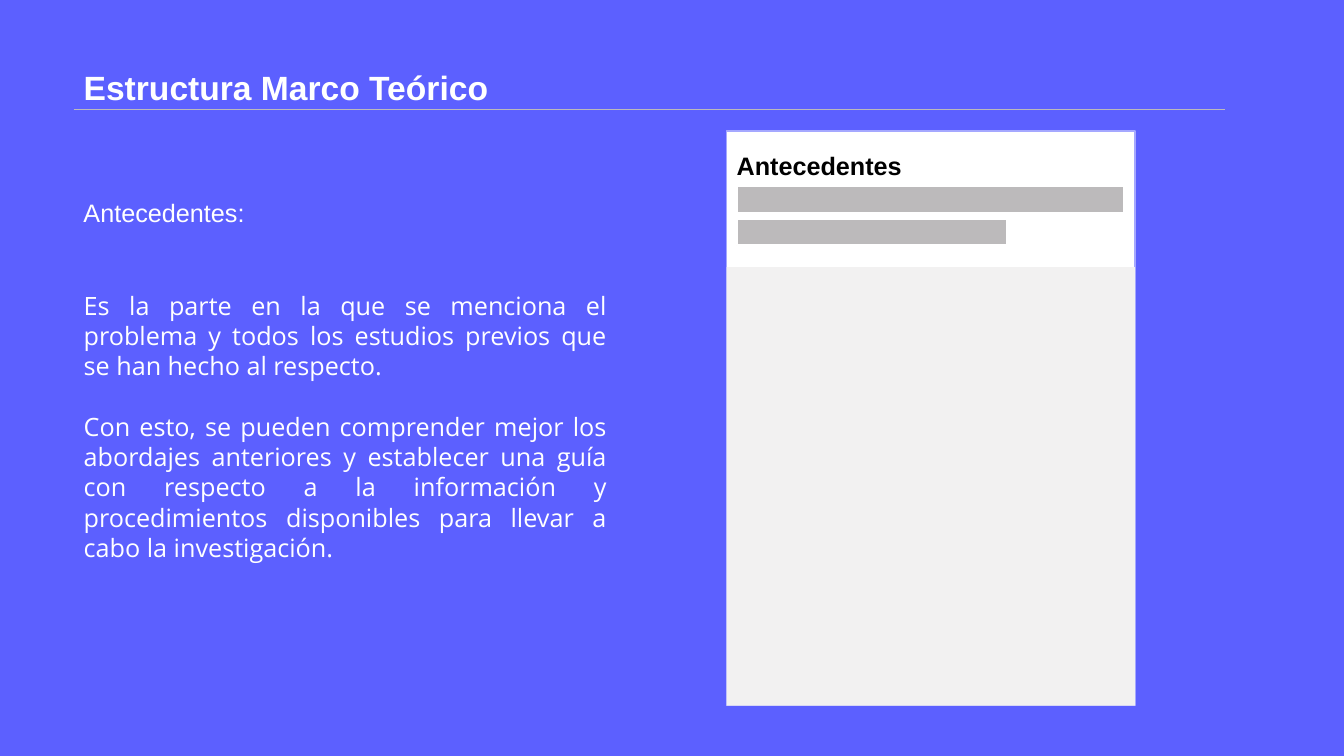
from pptx import Presentation
from pptx import util as u
from pptx.dml import color
from pptx.enum import shapes, text
from pptx.oxml import xmlchemy
from lxml import etree

BLUE, WHITE, BLACK = "5C60FF", "FFFFFF", "000000"
GRAY, PALE, LILAC = "BCBABB", "F2F1F1", "A5A8FF"
LEFT = 52.56


def paint(target, value):
    """Fill a shape or background with a solid hex colour."""
    target.fill.solid()
    target.fill.fore_color.rgb = color.RGBColor.from_string(value)


def place(item, box):
    """Move an item to a box of left, top, width and height in points."""
    for name, value in zip(("left", "top", "width", "height"), box):
        setattr(item, name, u.Pt(value))


def apply(target, formats):
    """Set every attribute of a format dict on the target."""
    for name, value in formats.items():
        setattr(target, name, value)


def write(item, paragraphs, font, hue, frame_format, para_format, gap=0):
    """Write paragraphs into an item, with a gap between them."""
    frame = item.text_frame
    apply(frame, frame_format)
    for index, words in enumerate(paragraphs):
        para = frame.add_paragraph() if index else frame.paragraphs[0]
        apply(para, {"space_before": u.Pt(gap if index else 0), **para_format})
        span = para.add_run()
        span.text = words
        apply(span.font, font)
        span.font.color.rgb = color.RGBColor.from_string(hue)


def add_block(page, box, fill, line=None, weight=1):
    """Add a flat rectangle, outlined when a line colour is given."""
    block = page.shapes.add_shape(shapes.MSO_SHAPE.RECTANGLE, *map(u.Pt, box))
    block.shadow.inherit = False
    paint(block, fill)
    if line:
        paint(block.line, line)
        block.line.width = u.Pt(weight)
    else:
        block.line.fill.background()


def add_label(page, box, words, hue, bold):
    """Add a one-line label in Arial."""
    label = page.shapes.add_textbox(*map(u.Pt, box))
    write(label, [words], {"name": "Arial", "size": u.Pt(18), "bold": bold}, hue,
          {"word_wrap": False}, {"alignment": text.PP_ALIGN.LEFT})


def add_heading(page, box, words):
    """Place the title at the foot of its box, with a rule beneath."""
    left, top, width, height = box
    title = page.shapes.title
    place(title, box)
    write(title, [words], {"name": "Arial", "size": u.Pt(24), "bold": True}, WHITE,
          {"word_wrap": True, "auto_size": text.MSO_AUTO_SIZE.NONE,
           "vertical_anchor": text.MSO_ANCHOR.BOTTOM},
          {"alignment": text.PP_ALIGN.LEFT, "line_spacing": 0.9})
    level = top + height - 2.16
    rule = page.shapes.add_connector(
        shapes.MSO_CONNECTOR.STRAIGHT, *map(u.Pt, (left, level, left + 822.24, level)))
    paint(rule.line, GRAY)
    rule.line.width = u.Pt(0.5)
    etree.SubElement(rule.element.spPr, xmlchemy.qn("a:effectLst"))


def add_explanation(page, box, label, paragraphs):
    """Place the label and the justified body text below it."""
    left, top, width, height = box
    add_label(page, (left, top, 130.32, 28.8), label, WHITE, False)
    body = page.placeholders[1]
    place(body, (left, top + 66.24, width, height - 66.24))
    write(body, paragraphs, {"name": "Open Sans", "size": u.Pt(18)}, WHITE,
          {"word_wrap": True, "auto_size": text.MSO_AUTO_SIZE.NONE},
          {"alignment": text.PP_ALIGN.JUSTIFY}, gap=21.6)
    for para in body.text_frame.paragraphs:
        properties = para._p.get_or_add_pPr()
        properties.set("marL", "0")
        properties.set("indent", "0")
        etree.SubElement(properties, xmlchemy.qn("a:buNone"))


def add_document(page, box, label):
    """Draw a page mock-up with a visible heading and a covered remainder."""
    left, top, width, height = box
    add_block(page, box, WHITE, LILAC)
    add_label(page, (left, top + 10.08, 133.92, 28.8), label, BLACK, True)
    for row, length in enumerate((276.48, 192.96)):
        bar = (left + 7.2, top + 39.6 + row * 23.4, length, 18.72)
        add_block(page, bar, GRAY, WHITE, 1.5)
    add_block(page, (left, top + 97.2, width, height - 97.2), PALE)


def build():
    """Build and save the slide."""
    deck = Presentation()
    deck.slide_width, deck.slide_height = u.Pt(960), u.Pt(540)
    page = deck.slides.add_slide(deck.slide_layouts[1])
    paint(page.background, BLUE)
    add_heading(page, (LEFT, 0, 854.64, 80.64), "Estructura Marco Teórico")
    add_document(page, (519.12, 93.6, 291.6, 410.4), "Antecedentes")
    add_explanation(page, (LEFT, 137.52, 388.08, 270), "Antecedentes:", [
        "Es la parte en la que se menciona el problema y todos los estudios previos "
        "que se han hecho al respecto.",
        "Con esto, se pueden comprender mejor los abordajes anteriores y establecer "
        "una guía con respecto a la información y procedimientos disponibles para "
        "llevar a cabo la investigación.",
    ])
    deck.save("out.pptx")


build()
